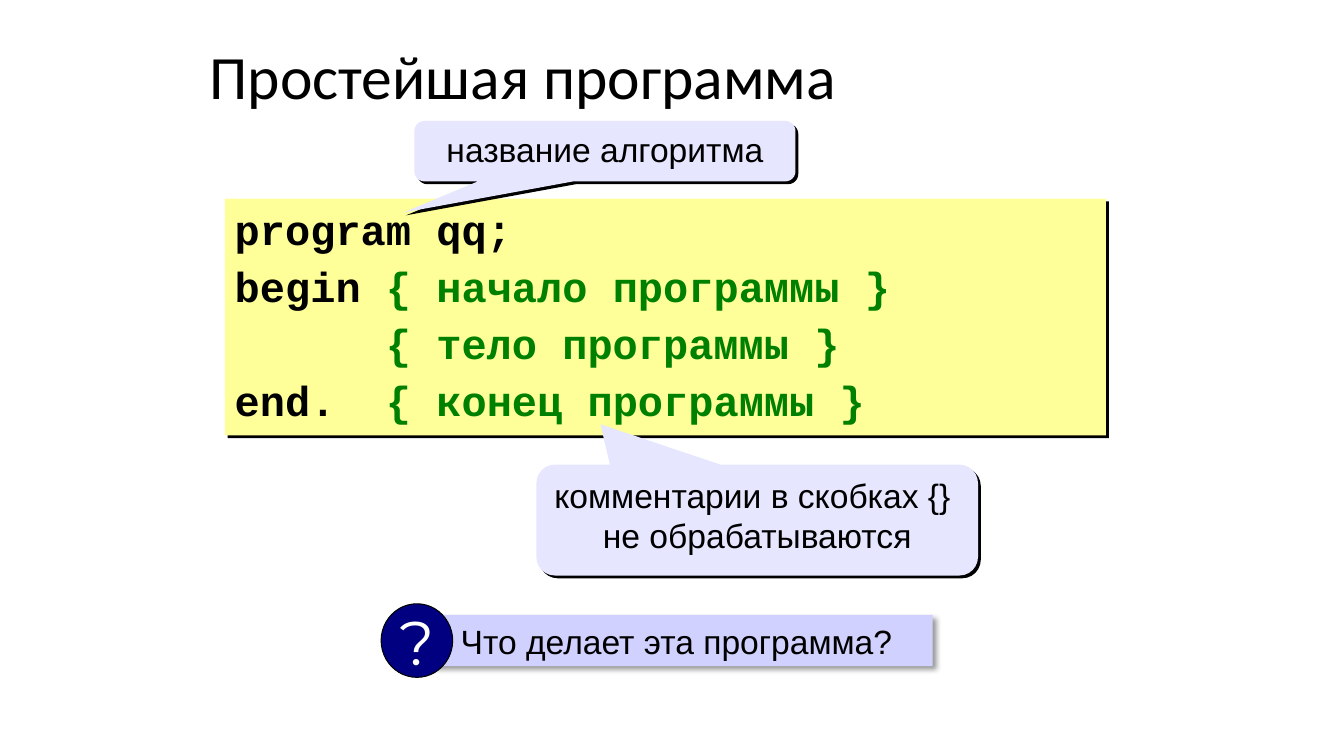
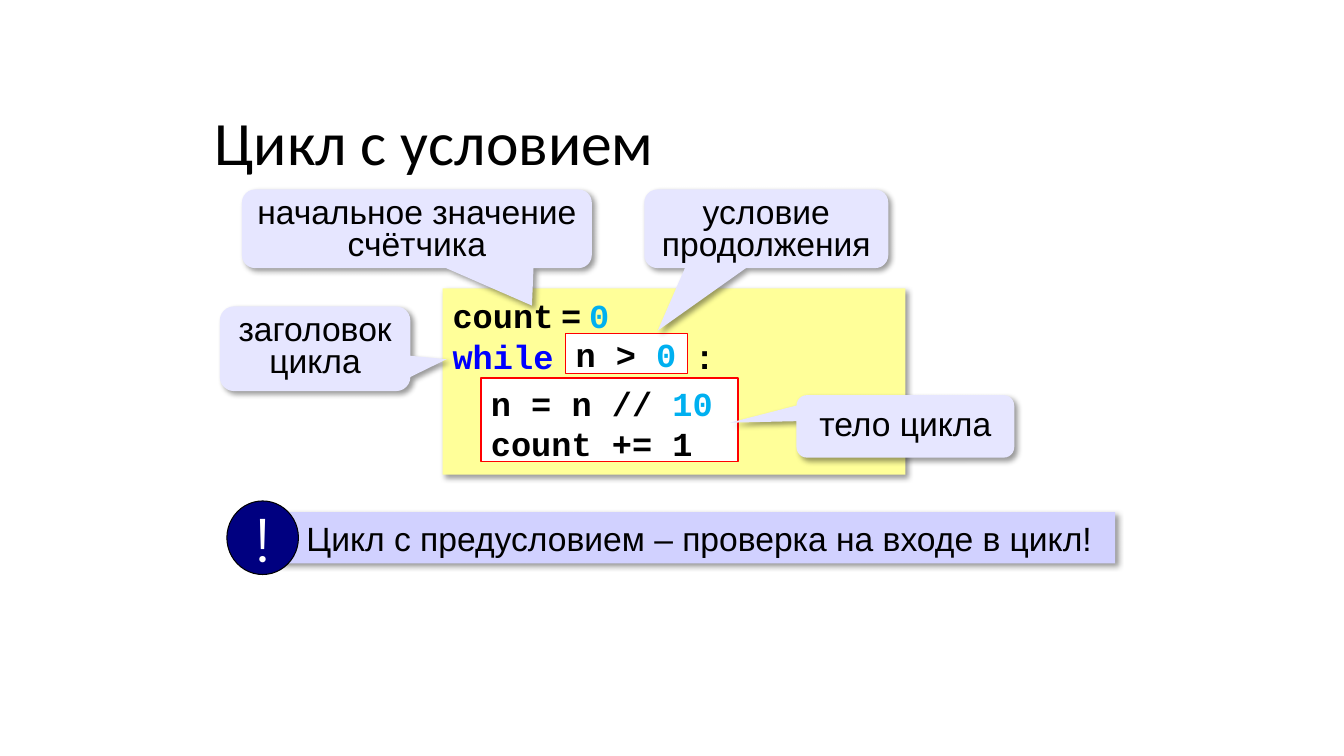
from lxml import etree
from pptx import Presentation
from pptx.dml.color import RGBColor
from pptx.enum.shapes import MSO_SHAPE
from pptx.enum.text import MSO_ANCHOR, PP_ALIGN
from pptx.oxml.ns import qn
from pptx.util import Inches, Pt

RECTANGLE = MSO_SHAPE.RECTANGLE
PROCESS = MSO_SHAPE.FLOWCHART_PROCESS
OVAL = MSO_SHAPE.OVAL
CALLOUT = MSO_SHAPE.ROUNDED_RECTANGULAR_CALLOUT
TOP, MIDDLE = MSO_ANCHOR.TOP, MSO_ANCHOR.MIDDLE
LEFT, CENTER = PP_ALIGN.LEFT, PP_ALIGN.CENTER

BLACK, WHITE, RED = "000000", "FFFFFF", "FF0000"
GREEN, CYAN, BLUE, NAVY = "008000", "00B0F0", "0000FF", "000080"
CODE_FILL, CALLOUT_FILL, BANNER_FILL = "FFFF99", "E6E6FF", "D1D1FF"

TITLE = {"name": "Calibri", "size": Pt(44)}
LABEL = {"name": "Arial", "size": Pt(24)}
BADGE = {"name": "Montserrat", "size": Pt(44)}
CODE = {"name": "Courier New", "size": Pt(24), "bold": True}
BIG_CODE = {**CODE, "size": Pt(30)}
NARROW_GAP = {**LABEL, "size": Pt(20)}

HARD_SHADOW = {"alpha": 100, "blur": 0, "distance": 2.8}
SOFT_SHADOW = {"alpha": 40, "blur": 4, "distance": 3}


def rgb(value):
    """Turn a hex string into a colour."""
    return RGBColor.from_string(value)


def add_shadow(shape, alpha, blur, distance):
    """Cast a black shadow down and to the right."""
    effects = shape.element.spPr.find(qn("a:effectLst"))
    shadow = etree.SubElement(effects, qn("a:outerShdw"), {
        "blurRad": str(Pt(blur)), "dist": str(Pt(distance)),
        "dir": "2700000", "algn": "ctr", "rotWithShape": "0"})
    colour = etree.SubElement(shadow, qn("a:srgbClr"), val=BLACK)
    etree.SubElement(colour, qn("a:alpha"), val=str(alpha * 1000))


def add_panel(shapes, kind, bounds, fill, line=None, weight=0.75, shadow=None):
    """Draw a filled shape with an optional outline and shadow."""
    panel = shapes.add_shape(kind, *map(Inches, bounds))
    panel.shadow.inherit = False
    panel.fill.solid()
    panel.fill.fore_color.rgb = rgb(fill)
    if line:
        panel.line.color.rgb = rgb(line)
        panel.line.width = Pt(weight)
    else:
        panel.line.fill.background()
    if shadow:
        add_shadow(panel, **shadow)
    return panel


def write(shape, lines, style, colour=BLACK, align=LEFT, spacing=None,
          gap=0, **frame_format):
    """Write lines of (text, colour, style) spans into a shape."""
    frame = shape.text_frame
    settings = {"word_wrap": True, "vertical_anchor": TOP, **frame_format}
    for key, value in settings.items():
        setattr(frame, key, value)
    for index, line in enumerate(lines):
        para = frame.add_paragraph() if index else frame.paragraphs[0]
        para.alignment = align
        if spacing:
            para.line_spacing = spacing
        if index and gap:
            para.space_before = Pt(gap)
        for text, *options in line:
            span_colour, span_style = (options + [colour, style][len(options):])
            for part, piece in enumerate(text.split("\n")):
                if part:
                    para.add_line_break()
                span = para.add_run()
                span.text = piece
                span.font.color.rgb = rgb(span_colour)
                for key, value in span_style.items():
                    setattr(span.font, key, value)


def add_title(slide, left, top, text):
    """Place the slide title."""
    box = slide.shapes.add_textbox(*map(Inches, (left, top, 9.16, 0.52)))
    write(box, [[(text,)]], TITLE, spacing=0.9)


def add_code(slide, bounds, lines, style, shadow, inset, gap=0):
    """Place a yellow listing."""
    panel = add_panel(slide.shapes, RECTANGLE, bounds, CODE_FILL, shadow=shadow)
    write(panel, lines, style, gap=gap, margin_top=Inches(inset))


def add_callout(slide, bounds, text, tip, shadow, spacing=None):
    """Place a speech bubble whose tip is a fraction of its box from the centre."""
    bubble = add_panel(slide.shapes, CALLOUT, bounds, CALLOUT_FILL, shadow=shadow)
    for index, value in enumerate((*tip, 0.167)):
        bubble.adjustments[index] = value
    write(bubble, [[(text,)]], LABEL, align=CENTER, spacing=spacing)


def add_banner(slide, left, top, width, sign, text):
    """Place a banner with a round badge over its left end."""
    shapes = slide.shapes.add_group_shape().shapes
    bar = add_panel(shapes, RECTANGLE, (left + 0.51, top + 0.11, width, 0.51),
                    BANNER_FILL, shadow=SOFT_SHADOW)
    write(bar, [[(text,)]], LABEL, vertical_anchor=MIDDLE,
          margin_left=Inches(0.28))
    badge = add_panel(shapes, OVAL, (left, top, 0.71, 0.73), NAVY, BLACK)
    write(badge, [[(sign,)]], BADGE, WHITE, CENTER,
          vertical_anchor=MIDDLE, word_wrap=False)


def build_program(slide):
    """Build the slide on the simplest program."""
    add_title(slide, 1.98, 0.41, "Простейшая программа")
    add_code(slide, (2.23, 1.97, 8.74, 2.35), [
        [("program qq;",)],
        [("begin ",), ("{ начало программы }", GREEN)],
        [("      { тело программы }", GREEN)],
        [("end.  ",), ("{ конец программы }", GREEN)],
    ], BIG_CODE, HARD_SHADOW, inset=0.05, gap=4.8)
    add_callout(slide, (5.32, 4.61, 4.38, 1.1),
                "комментарии в скобках {} \nне обрабатываются",
                (-0.355, -0.864), HARD_SHADOW)
    add_banner(slide, 3.78, 5.99, 4.96, "?", "Что делает эта программа?")
    add_callout(slide, (4.11, 1.2, 3.78, 0.6), "название алгоритма",
                (-0.529, 1.015), HARD_SHADOW)


def build_loop(slide):
    """Build the slide on the conditional loop."""
    add_title(slide, 2.03, 1.06, "Цикл с условием")
    space = (" ", BLACK, NARROW_GAP)
    add_code(slide, (4.39, 2.86, 4.59, 1.85), [
        [("count",), space, ("=",), space, ("0", CYAN)],
        [("while", BLUE), ("       :",)],
    ], CODE, SOFT_SHADOW, inset=0.07)
    body = add_panel(slide.shapes, PROCESS, (4.77, 3.75, 2.55, 0.83),
                     WHITE, RED, weight=1)
    write(body, [[("n = n // ",), ("10", CYAN)], [("count += 1",)]], CODE)
    condition = add_panel(slide.shapes, RECTANGLE, (5.61, 3.31, 1.21, 0.4),
                          WHITE, RED)
    write(condition, [[("n > ",), ("0", CYAN)]], CODE, word_wrap=False,
          margin_top=0, margin_bottom=0)
    for bounds, text, tip, spacing in (
        ((7.9, 3.92, 2.16, 0.62), "тело цикла", (-0.806, -0.059), None),
        ((2.4, 1.88, 3.47, 0.78), "начальное значение счётчика",
         (0.329, 0.977), 0.8),
        ((6.39, 1.88, 2.42, 0.78), "условие продолжения",
         (-0.445, 1.296), 0.8),
        ((2.18, 3.04, 1.89, 0.84), "заголовок цикла", (0.69, 0.124), 0.8),
    ):
        add_callout(slide, bounds, text, tip, SOFT_SHADOW, spacing)
    add_banner(slide, 2.25, 4.97, 8.3, "!",
               "Цикл с предусловием – проверка на входе в цикл!")


def main():
    """Build and save the deck."""
    deck = Presentation()
    deck.slide_width, deck.slide_height = Inches(13.33), Inches(7.5)
    for build in (build_program, build_loop):
        build(deck.slides.add_slide(deck.slide_layouts[6]))
    deck.save("out.pptx")


if __name__ == "__main__":
    main()
